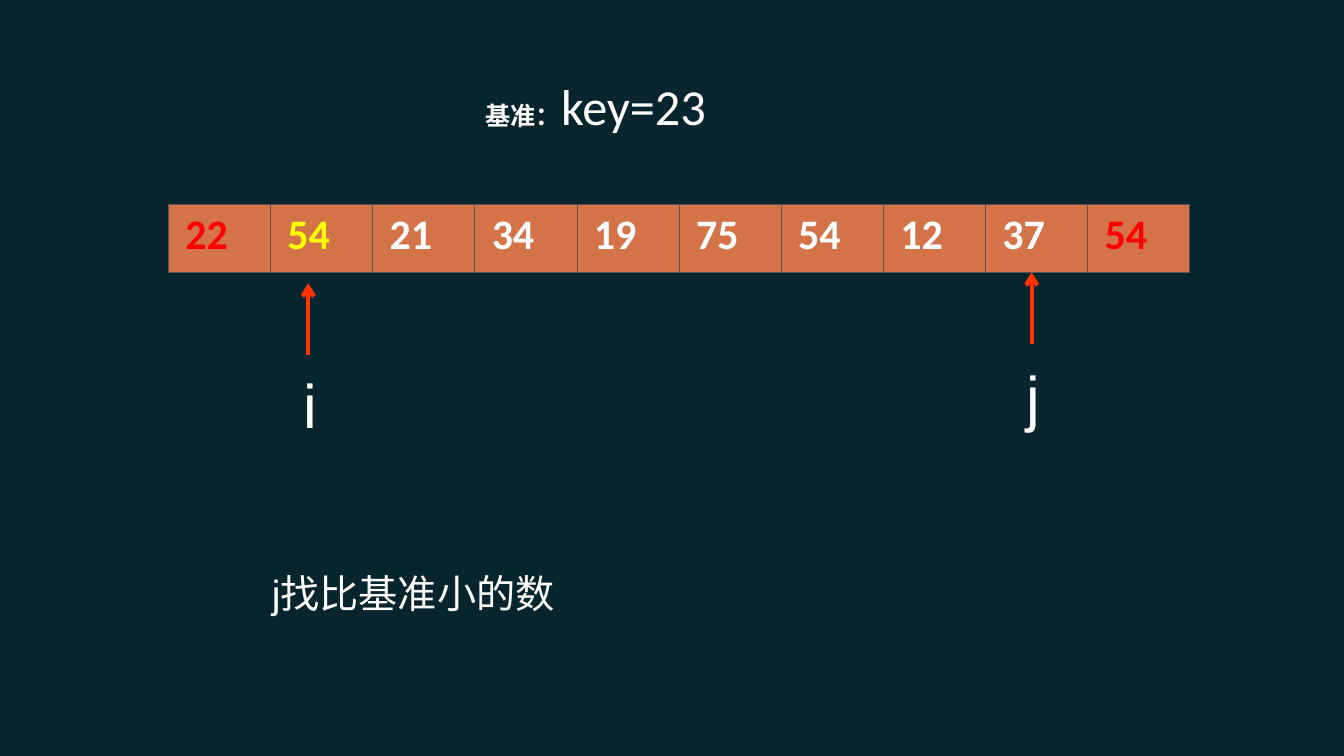
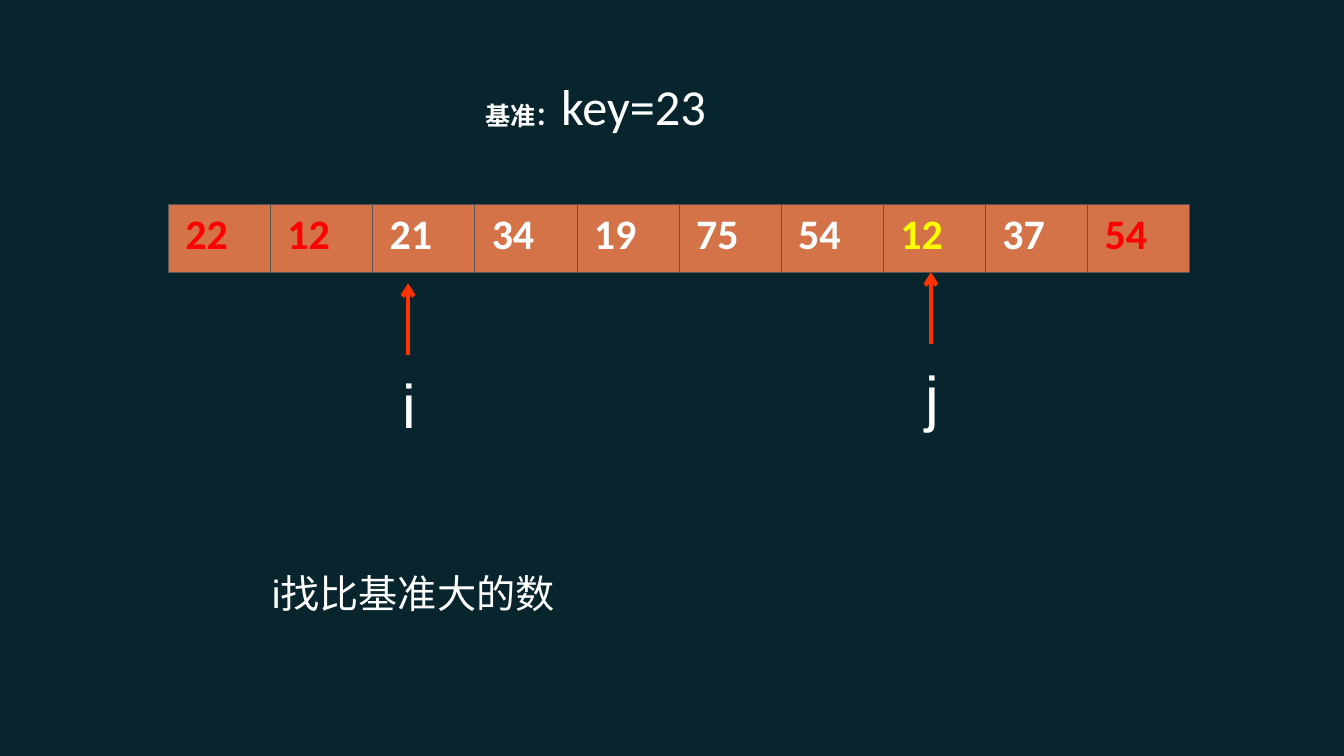
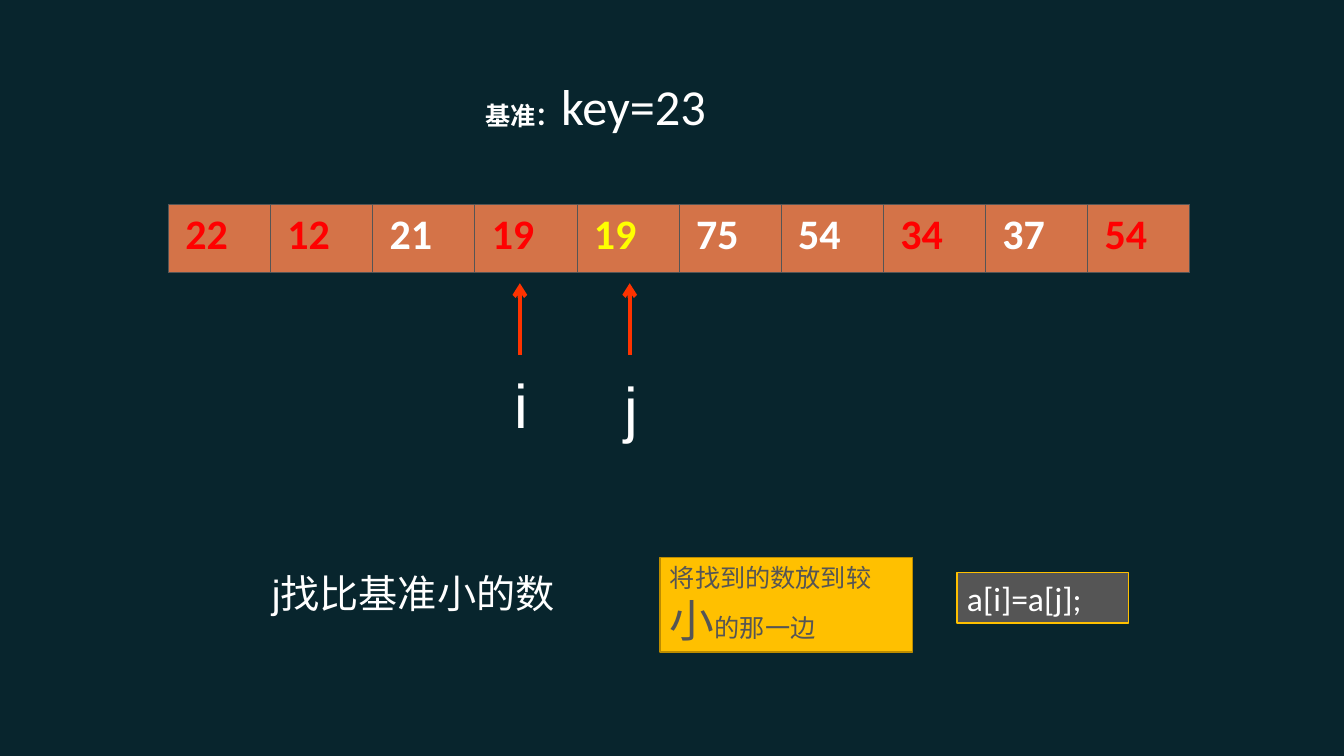
from lxml import etree
from pptx import Presentation
from pptx.dml.color import RGBColor
from pptx.enum import shapes, text
from pptx.oxml import ns
from pptx.util import Inches, Pt

NIGHT = RGBColor(0x08, 0x25, 0x2D)
CLAY = RGBColor(0xD4, 0x73, 0x48)
GREY = RGBColor(0x55, 0x55, 0x55)
WHITE = RGBColor(0xFF, 0xFF, 0xFF)
RED = RGBColor(0xFF, 0x00, 0x00)
YELLOW = RGBColor(0xFF, 0xFF, 0x00)
FLAME = RGBColor(0xFF, 0x33, 0x00)
GOLD = RGBColor(0xFF, 0xC0, 0x00)
OCHRE = RGBColor(0xBC, 0x8C, 0x00)
HAN = "Noto Sans CJK SC"
TINTS = {"w": WHITE, "r": RED, "y": YELLOW}


def write(frame, words, size=18, font="Calibri", color=WHITE, bold=False, align=None):
    line = frame.paragraphs[0]
    line.alignment = align
    run = line.add_run()
    run.text = words
    run.font.size = Pt(size)
    run.font.name = font
    run.font.bold = bold
    run.font.color.rgb = color
    etree.SubElement(run.font._element, ns.qn("a:ea"), typeface=HAN)


def label(slide, left, top, width, height, wrap=True):
    box = slide.shapes.add_textbox(Inches(left), Inches(top), Inches(width), Inches(height))
    box.text_frame.word_wrap = wrap
    return box.text_frame


def title(slide, left, top):
    frame = label(slide, left, top, 3.65, 0.7)
    write(frame, "基准：", font=HAN, bold=True)
    write(frame, "key=23", size=36)


def border(cell):
    props = cell._tc.get_or_add_tcPr()
    for index, side in enumerate(("lnL", "lnR", "lnT", "lnB")):
        edge = etree.Element(ns.qn("a:" + side), w=str(Pt(0.45)))
        fill = etree.SubElement(edge, ns.qn("a:solidFill"))
        etree.SubElement(fill, ns.qn("a:srgbClr"), val=str(GREY))
        props.insert(index, edge)


def array(slide, left, top, width, height, values, tints):
    table = slide.shapes.add_table(1, len(values), Inches(left), Inches(top),
                                   Inches(width), Inches(height)).table
    table.first_row = table.horz_banding = False
    for index, (value, tint) in enumerate(zip(values, tints)):
        table.columns[index].width = Inches(width / len(values))
        cell = table.cell(0, index)
        cell.fill.solid()
        cell.fill.fore_color.rgb = CLAY
        cell.margin_left = cell.margin_right = Inches(0.17)
        border(cell)
        write(cell.text_frame, str(value), size=30, color=TINTS[tint], bold=True)


def pointer(slide, name, x, tip, gap):
    arrow = slide.shapes.add_connector(shapes.MSO_CONNECTOR.STRAIGHT, Inches(x),
                                       Inches(tip + 0.71), Inches(x), Inches(tip))
    arrow.line.color.rgb = FLAME
    arrow.line.width = Pt(3)
    etree.SubElement(arrow.line._get_or_add_ln(), ns.qn("a:tailEnd"), type="arrow")
    etree.SubElement(arrow._element.spPr, ns.qn("a:effectLst"))
    frame = label(slide, x - 0.15, tip + gap, 0.31, 0.84, wrap=False)
    write(frame, name, size=44, font="Arial", align=text.PP_ALIGN.CENTER)


def panel(slide, left, top, width, height, fill, edge):
    box = slide.shapes.add_shape(shapes.MSO_SHAPE.RECTANGLE, Inches(left), Inches(top),
                                 Inches(width), Inches(height))
    box.shadow.inherit = False
    box.fill.solid()
    box.fill.fore_color.rgb = fill
    box.line.color.rgb = edge
    box.line.width = Pt(1)
    frame = box.text_frame
    frame.word_wrap = True
    frame.vertical_anchor = text.MSO_ANCHOR.TOP
    return frame


def swap(slide, left, top):
    note = panel(slide, left, top, 2.51, 0.94, GOLD, OCHRE)
    for words, size in (("将找到的数放到较", 18), ("小", 32), ("的那一边", 18)):
        write(note, words, size=size, color=GREY, align=text.PP_ALIGN.LEFT)
    code = panel(slide, left + 2.95, top + 0.15, 1.7, 0.5, GREY, GOLD)
    write(code, "a[i]=a[j];", size=24, align=text.PP_ALIGN.LEFT)


def step(deck, values, tints, low, high, tip, hint):
    slide = deck.slides.add_slide(deck.slide_layouts[6])
    array(slide, 1.67, 2.03, 10.14, 0.67, values, tints)
    pointer(slide, "i", low, 2.81, 0.78)
    pointer(slide, "j", high, tip, 0.81)
    write(label(slide, 2.6, 5.6, 3.28, 0.57), hint, size=28, font="Arial")
    title(slide, 4.72, 0.7)
    return slide


def main():
    deck = Presentation()
    deck.slide_width = Inches(13.34)
    deck.slide_height = Inches(7.5)
    back = deck.slide_master.background.fill
    back.solid()
    back.fore_color.rgb = NIGHT
    step(deck, (22, 54, 21, 34, 19, 75, 54, 12, 37, 54), "rywwwwwwwr",
         3.06, 10.24, 2.7, "j找比基准小的数")
    step(deck, (22, 12, 21, 34, 19, 75, 54, 12, 37, 54), "rrwwwwwywr",
         4.05, 9.24, 2.7, "i找比基准大的数")
    last = step(deck, (22, 12, 21, 19, 19, 75, 54, 34, 37, 54), "rrwrywwrwr",
                5.16, 6.25, 2.81, "j找比基准小的数")
    swap(last, 6.55, 5.53)
    deck.save("out.pptx")


if __name__ == "__main__":
    main()
